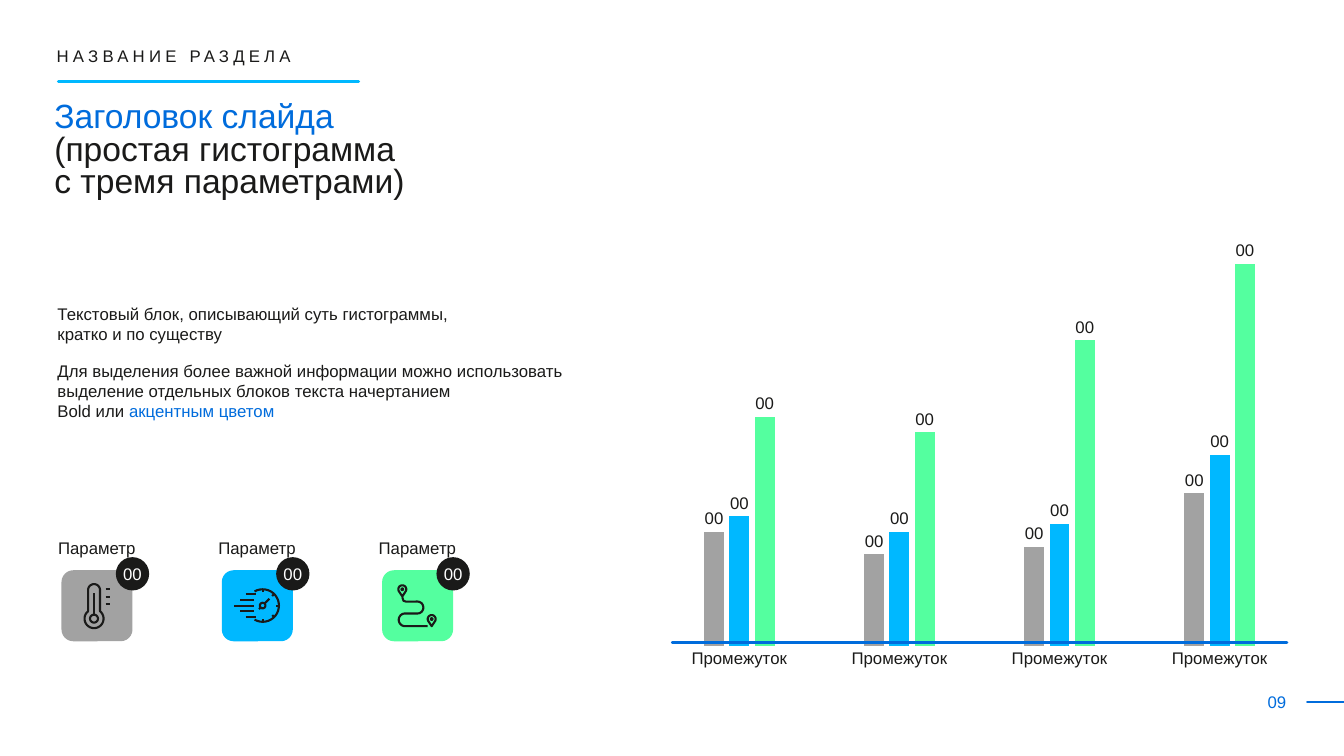
from copy import deepcopy
from dataclasses import dataclass
from math import cos, radians, sin

from lxml.etree import SubElement
from pptx import Presentation
from pptx.chart.data import CategoryChartData
from pptx.dml.color import RGBColor
from pptx.enum.chart import XL_CHART_TYPE, XL_LABEL_POSITION, XL_TICK_MARK
from pptx.enum.shapes import MSO_CONNECTOR, MSO_SHAPE
from pptx.enum.text import MSO_ANCHOR, PP_ALIGN
from pptx.oxml.ns import qn
from pptx.util import Cm, Pt


@dataclass(frozen=True)
class Theme:
    """Colours, font and type sizes of the slide."""
    ink: RGBColor = RGBColor(0x1A, 0x1A, 0x19)
    white: RGBColor = RGBColor(0xFF, 0xFF, 0xFF)
    accent: RGBColor = RGBColor(0x00, 0x6C, 0xDC)
    gray: RGBColor = RGBColor(0xA2, 0xA2, 0xA2)
    sky: RGBColor = RGBColor(0x00, 0xB8, 0xFF)
    mint: RGBColor = RGBColor(0x54, 0xFF, 0x9F)
    font: str = "Arial"
    body: Pt = Pt(12)
    title: Pt = Pt(24)


T = Theme()
SERIES_COLORS = (T.gray, T.sky, T.mint)


def style(font, size=T.body, color=T.ink):
    """Apply the theme font with a size and colour."""
    font.name, font.size = T.font, size
    font.color.rgb = color


def write(sp, *paras, size=T.body, color=T.ink, align=PP_ALIGN.LEFT, anchor=MSO_ANCHOR.TOP,
          inset=(0.08, 0.08), spacing=None, gap=0, tracking=0):
    """Fill a shape with paragraphs, each a list of (text, colour) runs or a string."""
    tf = sp.text_frame
    tf.word_wrap, tf.vertical_anchor = True, anchor
    tf.margin_left = tf.margin_right = Cm(inset[0])
    tf.margin_top = tf.margin_bottom = Cm(inset[1])
    for i, para in enumerate(paras):
        p = tf.add_paragraph() if i else tf.paragraphs[0]
        p.alignment = align
        if spacing:
            p.line_spacing = spacing
        if i:
            p.space_before = Pt(gap)
        for text, run_color in ([(para, color)] if isinstance(para, str) else para):
            for n, line in enumerate(text.split("\n")):
                if n:
                    p.add_line_break()
                    p._p[-1].append(deepcopy(r._r.rPr))
                if line:
                    r = p.add_run()
                    r.text = line
                    style(r.font, size, run_color)
                    if tracking:
                        r._r.get_or_add_rPr().set("spc", str(tracking * 100))
    return sp


def text_box(s, x, y, w, h, *paras, **fmt):
    """Add a text box measured in centimetres."""
    return write(s.shapes.add_textbox(Cm(x), Cm(y), Cm(w), Cm(h)), *paras, **fmt)


def rule(s, x, y, w, color, width=2):
    """Draw a horizontal line with round ends."""
    c = s.shapes.add_connector(MSO_CONNECTOR.STRAIGHT, Cm(x), Cm(y), Cm(x + w), Cm(y))
    c.line.color.rgb, c.line.width = color, Pt(width)
    c.line._get_or_add_ln().set("cap", "rnd")
    SubElement(c._element.spPr, qn("a:effectLst"))


def solid(s, kind, x, y, size, color):
    """Add a plain filled shape with equal sides."""
    sp = s.shapes.add_shape(kind, Cm(x), Cm(y), Cm(size), Cm(size))
    sp.shadow.inherit = False
    sp.fill.solid()
    sp.fill.fore_color.rgb = color
    sp.line.fill.background()
    return sp


def arc(cx, cy, radius, start, end):
    """Return points along an arc given in degrees, clockwise from the right."""
    angles = [radians(start + (end - start) * i / 24) for i in range(25)]
    return [(cx + radius * cos(a), cy + radius * sin(a)) for a in angles]


def thermometer():
    """Return the strokes of a thermometer as (points, closed) pairs."""
    tube = arc(0.82, 0.5, 0.15, 180, 360) + arc(0.82, 1.22, 0.24, -51, 231)
    ticks = [([(1.11, y), (1.22, y)], False) for y in (0.48, 0.67, 0.86)]
    return [(tube, True), (arc(0.82, 1.22, 0.1, 0, 360), True),
            ([(0.82, 1.12), (0.82, 0.58)], False), *ticks]


def speedometer():
    """Return the strokes of a speeding dial."""
    cx, cy, radius = 1.03, 0.89, 0.41
    marks = [([arc(cx, cy, k, a, a)[0] for k in (0.34, radius)], False)
             for a in range(-90, 91, 45)]
    trails = [([(x1, cy + i * 0.14), (x2, cy + i * 0.14)], False)
              for i, x1, x2 in ((-2, 0.6, 0.86), (-1, 0.47, 0.82), (0, 0.32, 0.8),
                                (1, 0.47, 0.82), (2, 0.6, 0.86))]
    needle = [([(1.08, 0.84), (1.2, 0.72)], False), ([(0.98, 0.94), (0.94, 0.98)], False)]
    return [(arc(cx, cy, radius, 240, 480), False), (arc(cx, cy, 0.07, 0, 360), True),
            *marks, *needle, *trails]


def route():
    """Return the strokes of a winding path between two map pins."""
    path = [(0.51, 0.68), (0.54, 0.77), (0.6, 0.79), *arc(0.89, 0.94, 0.15, -90, 90),
            *arc(0.58, 1.25, 0.16, 270, 90), (1.15, 1.41)]
    strokes = [(path, False)]
    for cx, cy in ((0.51, 0.48), (1.25, 1.23)):
        strokes += [(arc(cx, cy, 0.1, 150, 390) + [(cx, cy + 0.18)], True),
                    (arc(cx, cy, 0.02, 0, 360), True)]
    return strokes


def icon(s, x, y, strokes):
    """Draw the strokes of an icon from its top left corner."""
    for points, closed in strokes:
        pts = [(Cm(x + px), Cm(y + py)) for px, py in points]
        fb = s.shapes.build_freeform(*pts[0])
        fb.add_line_segments(pts[1:], close=closed)
        sp = fb.convert_to_shape()
        sp.shadow.inherit = False
        sp.fill.background()
        sp.line.color.rgb, sp.line.width = T.ink, Pt(1.5)


def header(s, x, y, w):
    """Place the section name, its rule and the slide title."""
    text_box(s, x + 0.23, y, 6.3, 0.71, "НАЗВАНИЕ РАЗДЕЛА", spacing=1.2, tracking=3)
    rule(s, x + 0.35, y + 1.09, 7.57, T.sky)
    sp = s.shapes.title
    sp.left, sp.top, sp.width, sp.height = Cm(x), Cm(y + 1.5), Cm(w), Cm(2.72)
    write(sp, [("Заголовок слайда\n", T.accent),
               ("(простая гистограмма\nс тремя параметрами)", T.ink)],
          size=T.title, spacing=0.8, inset=(0.25, 0.13))


def description(s, x, y, w, h):
    """Place the explanatory text."""
    text_box(s, x, y, w, h,
             "Текстовый блок, описывающий суть гистограммы,\nкратко и по существу",
             [("Для выделения более важной информации можно использовать "
               "выделение отдельных блоков текста начертанием\nBold или ", T.ink),
              ("акцентным цветом", T.accent)], gap=12)


def legend(s, x, y, step):
    """Place one labelled icon tile per series."""
    for i, (color, strokes) in enumerate(zip(SERIES_COLORS, (thermometer, speedometer, route))):
        left = x + i * step
        text_box(s, left, y, 2.34, 0.71, "Параметр", align=PP_ALIGN.CENTER, spacing=1.2)
        solid(s, MSO_SHAPE.ROUNDED_RECTANGLE, left + 0.28, y + 1.01, 1.79, color)
        icon(s, left + 0.28, y + 1.01, strokes())
        write(solid(s, MSO_SHAPE.OVAL, left + 1.65, y + 0.68, 0.84, T.ink), "00",
              color=T.white, align=PP_ALIGN.CENTER, anchor=MSO_ANCHOR.MIDDLE, inset=(0, 0))


def histogram(s, x, y, w, h):
    """Place the column chart and its base line."""
    data = CategoryChartData()
    data.categories = ["Промежуток"] * 4
    for i, values in enumerate(((15, 12, 13, 20), (17, 15, 16, 25), (30, 28, 40, 50)), 1):
        data.add_series(f"Series {i}", values)
    chart = s.shapes.add_chart(XL_CHART_TYPE.COLUMN_CLUSTERED, Cm(x), Cm(y), Cm(w), Cm(h),
                               data).chart
    chart.has_legend = chart.has_title = False
    style(chart.font)
    axis = chart.category_axis
    axis.major_tick_mark = axis.minor_tick_mark = XL_TICK_MARK.NONE
    axis.format.line.fill.background()
    style(axis.tick_labels.font)
    axis = chart.value_axis
    axis.minimum_scale, axis.maximum_scale = 0, 60
    axis.has_major_gridlines = axis.visible = False
    plot = chart.plots[0]
    plot.gap_width, plot.overlap, plot.vary_by_categories = 450, -27, False
    for series, color in zip(plot.series, SERIES_COLORS):
        series.format.fill.solid()
        series.format.fill.fore_color.rgb = color
        labels = series.data_labels
        labels.show_value, labels.position = True, XL_LABEL_POSITION.OUTSIDE_END
        labels.number_format, labels.number_format_is_linked = '"00"', False
        style(labels.font)
    rule(s, x + 0.66, y + 11.71, 15.49, T.accent)


def footer(s, x, y):
    """Place the page number and the line running to the slide edge."""
    text_box(s, x, y, 1.12, 0.76, "09", color=T.accent, align=PP_ALIGN.CENTER,
             inset=(0.25, 0.13))
    rule(s, x + 1.32, y + 0.38, 0.92, T.accent, 1.5)


def main():
    """Build and save the slide."""
    prs = Presentation()
    prs.slide_width, prs.slide_height = Cm(33.87), Cm(19.05)
    s = prs.slides.add_slide(prs.slide_layouts[5])
    header(s, 1.12, 0.97, 12.12)
    description(s, 1.37, 7.57, 13.92, 3.12)
    histogram(s, 16.28, 4.47, 16.81, 12.62)
    legend(s, 1.27, 13.36, 4.04)
    footer(s, 31.62, 17.3)
    prs.save("out.pptx")


if __name__ == "__main__":
    main()
